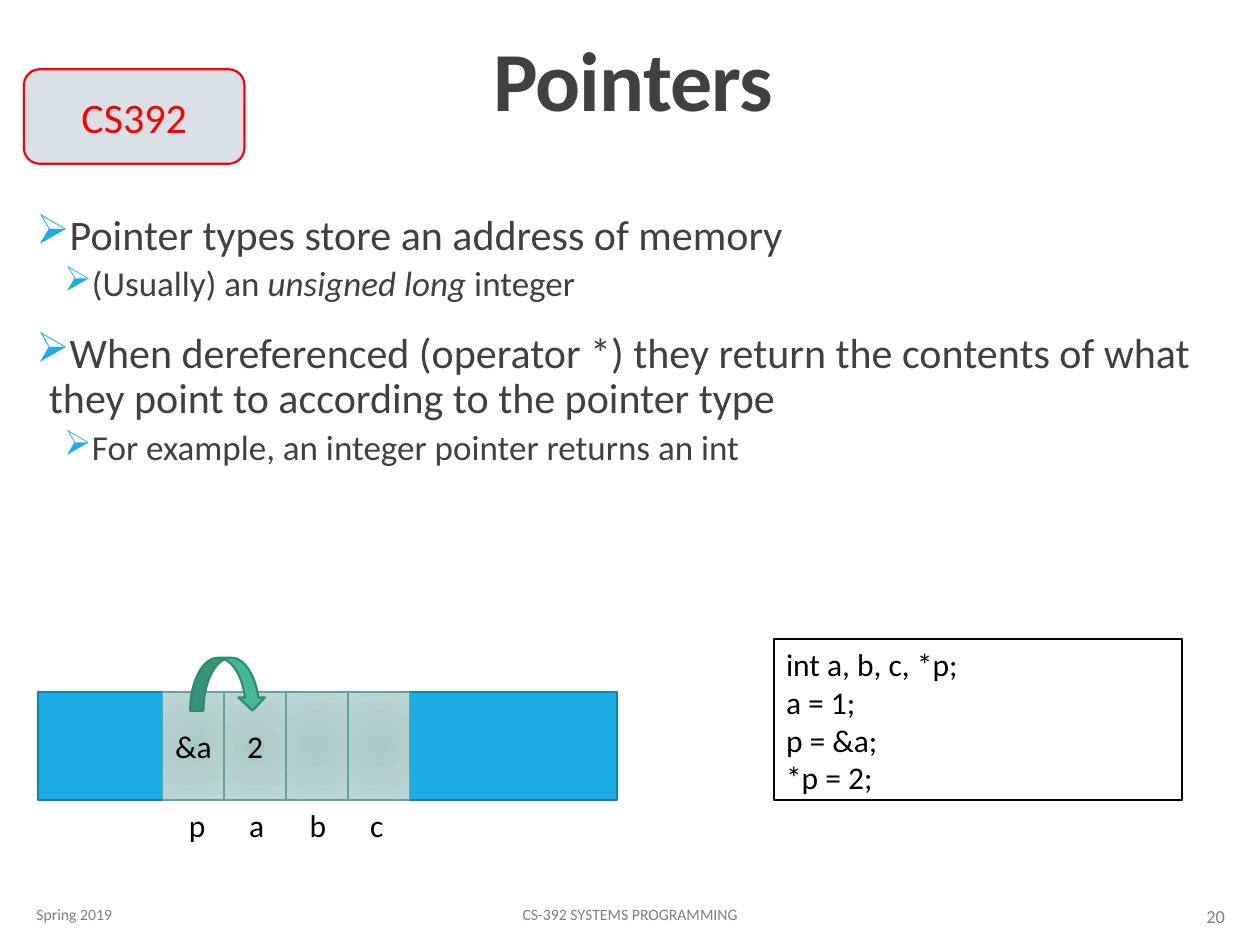
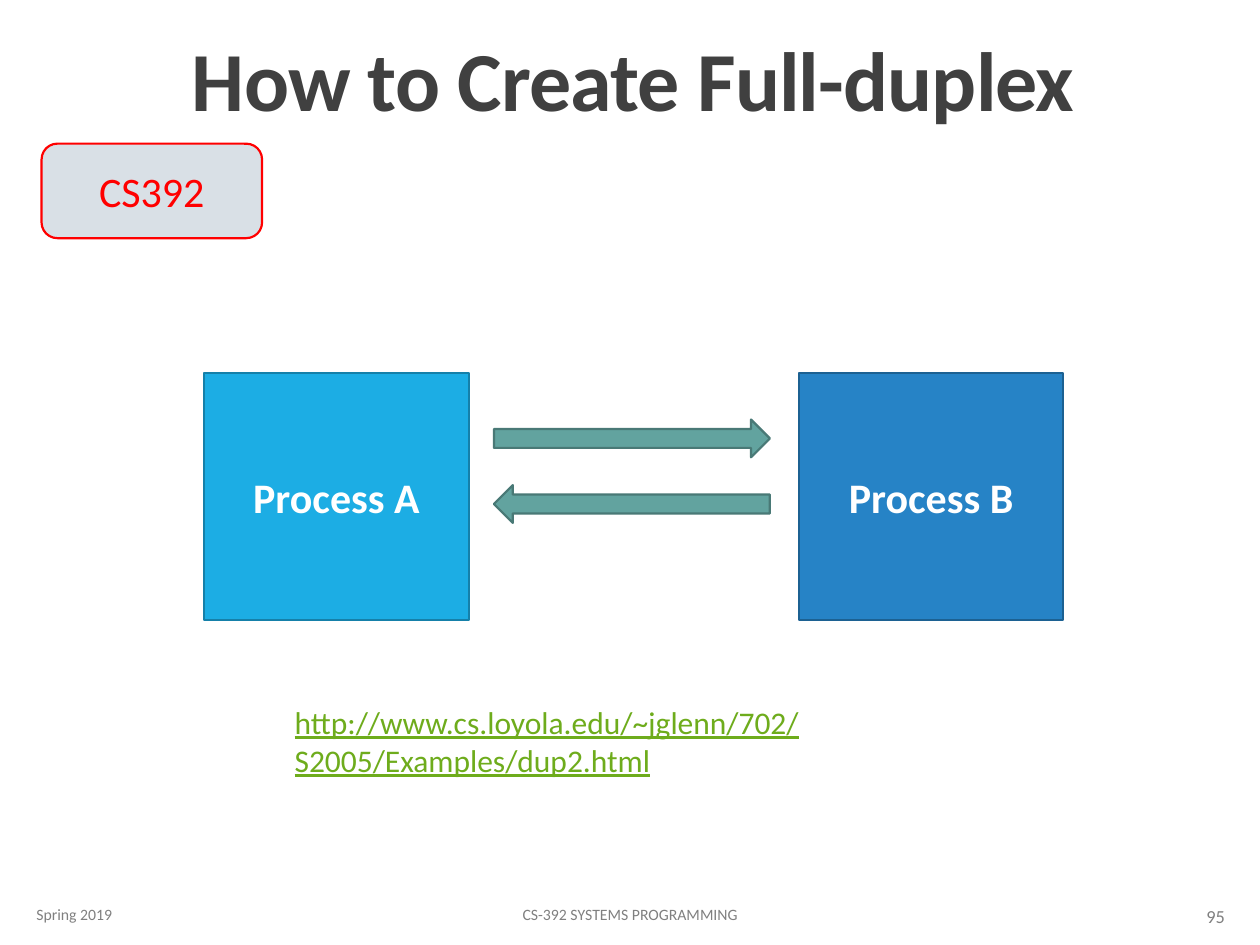
from dataclasses import dataclass
from lxml.etree import SubElement
from pptx import Presentation
from pptx.dml.color import RGBColor
from pptx.enum.shapes import MSO_SHAPE
from pptx.enum.text import MSO_ANCHOR, PP_ALIGN
from pptx.oxml import parse_xml
from pptx.oxml.ns import nsdecls, qn
from pptx.util import Inches, Pt


@dataclass(frozen=True)
class Theme:
    font: str = "Calibri"
    ink: str = "404040"
    muted: str = "808080"
    black: str = "000000"
    white: str = "FFFFFF"
    red: str = "FF0000"
    badge: str = "D9E0E6"
    sky: str = "1CADE4"
    sky_edge: str = "1580A9"
    blue: str = "2683C6"
    blue_edge: str = "1C6192"
    teal: str = "62A39F"
    teal_edge: str = "497976"
    green: str = "42BA97"
    green_edge: str = "318A70"
    link: str = "6EAC1C"
    cell_stops: tuple = ((0, "A5C6C4"), (45, "B4D0CE"), (100, "BAD7D5"))
    title_size: float = 48
    large: float = 24
    medium: float = 20
    regular: float = 18
    number_size: float = 10.5
    footer_size: float = 9
    edge: float = 1.25
    cell_edge: float = 1


THEME = Theme()
LEFT, CENTER, RIGHT = PP_ALIGN.LEFT, PP_ALIGN.CENTER, PP_ALIGN.RIGHT
TOP, MIDDLE, BOTTOM = MSO_ANCHOR.TOP, MSO_ANCHOR.MIDDLE, MSO_ANCHOR.BOTTOM

TERM = "Spring 2019"
COURSE = "CS-392 SYSTEMS PROGRAMMING"
BADGE = "CS392"

# (level, [(text, italic), ...])
POINTER_NOTES = [
    (0, [("Pointer types store an address of memory", False)]),
    (1, [("(Usually) an ", False), ("unsigned long", True), (" integer", False)]),
    (0, [("When dereferenced (operator *) they return the contents of what "
          "they point to according to the pointer type", False)]),
    (1, [("For example, an integer pointer returns an int", False)]),
]
# size, left margin, first-line indent, space before, space after
NOTE_LEVELS = [(THEME.large, 0.1, -0.1, 12, 2), (THEME.medium, 0.42, -0.2, 2, 4)]
MEMORY_CELLS = [("p", "&a"), ("a", "2"), ("b", ""), ("c", "")]
CODE = ["int a, b, c, *p;", "a = 1;", "p = &a;", "*p = 2;"]

PROCESSES = [("Process A", THEME.sky, THEME.sky_edge),
             ("Process B", THEME.blue, THEME.blue_edge)]
ARROW_ROTATIONS = [0, 180]
EXAMPLE_URL = "http://www.cs.loyola.edu/~jglenn/702/S2005/Examples/dup2.html"


def rgb(color):
    return RGBColor.from_string(color)


def style(span, size, color, bold=False, italic=False):
    span.font.name = THEME.font
    span.font.size = Pt(size)
    span.font.color.rgb = rgb(color)
    span.font.bold = bold
    span.font.italic = italic


def write(holder, lines, size, color, align=LEFT, anchor=TOP, bold=False):
    frame = holder.text_frame
    frame.text = "\n".join(lines)
    frame.vertical_anchor = anchor
    for para in frame.paragraphs:
        para.alignment = align
        for span in para.runs:
            style(span, size, color, bold)


def add_text(page, at, text, size, color, align=LEFT, anchor=TOP, bold=False, wrap=True):
    box = page.shapes.add_textbox(*map(Inches, at))
    box.text_frame.word_wrap = wrap
    write(box, [text], size, color, align, anchor, bold)
    return box


def add_figure(page, kind, at, fill, edge, width=THEME.edge):
    figure = page.shapes.add_shape(kind, *map(Inches, at))
    figure.shadow.inherit = False
    figure.fill.solid()
    figure.fill.fore_color.rgb = rgb(fill)
    figure.line.color.rgb = rgb(edge)
    figure.line.width = Pt(width)
    return figure


def fill_radially(figure, stops):
    marks = "".join(f'<a:gs pos="{percent * 1000}"><a:srgbClr val="{color}"/></a:gs>'
                    for percent, color in stops)
    gradient = parse_xml(
        f'<a:gradFill {nsdecls("a")} rotWithShape="1"><a:gsLst>{marks}</a:gsLst>'
        '<a:path path="circle"><a:fillToRect l="100000" t="100000" r="100000" b="100000"/>'
        '</a:path></a:gradFill>')
    properties = figure._element.spPr
    properties.replace(properties.find(qn("a:solidFill")), gradient)


def add_bullet(para, level, margin, indent):
    properties = para._p.get_or_add_pPr()
    properties.set("marL", str(Inches(margin)))
    properties.set("indent", str(Inches(indent)))
    para.level = level
    color = SubElement(properties, qn("a:buClr"))
    SubElement(color, qn("a:srgbClr")).set("val", THEME.sky)
    SubElement(properties, qn("a:buChar")).set("char", "➢")


def add_notes_list(page, at, notes):
    box = page.shapes.add_textbox(*map(Inches, at))
    frame = box.text_frame
    frame.word_wrap = True
    for index, (level, pieces) in enumerate(notes):
        para = frame.add_paragraph() if index else frame.paragraphs[0]
        size, margin, indent, before, after = NOTE_LEVELS[level]
        add_bullet(para, level, margin, indent)
        para.line_spacing = 0.9
        para.space_before = Pt(before if index else 0)
        para.space_after = Pt(after)
        for text, italic in pieces:
            span = para.add_run()
            span.text = text
            style(span, size, THEME.ink, italic=italic)


def start_page(deck, title, number):
    """Add a page with the title and footers that all pages share."""
    page = deck.slides.add_slide(deck.slide_layouts[6])
    heading = add_text(page, (0.9, 0.04, 8.25, 1.03), title, THEME.title_size,
                       THEME.ink, CENTER, BOTTOM, bold=True)
    para = heading.text_frame.paragraphs[0]
    para.line_spacing = 0.85
    para.runs[0]._r.get_or_add_rPr().set("spc", "-50")
    for at, text, size, align in [
        ((0.19, 7.06, 2.03, 0.4), TERM, THEME.footer_size, LEFT),
        ((3.02, 7.06, 3.96, 0.4), COURSE, THEME.footer_size, CENTER),
        ((8.74, 7.07, 1.08, 0.4), str(number), THEME.number_size, RIGHT),
    ]:
        add_text(page, at, text, size, THEME.muted, align, MIDDLE)
    return page


def add_badge(page, left, top):
    badge = add_figure(page, MSO_SHAPE.ROUNDED_RECTANGLE, (left, top, 1.75, 0.75),
                       THEME.badge, THEME.red)
    write(badge, [BADGE], THEME.large, THEME.red, CENTER, MIDDLE)


def add_memory(page):
    top, height, cell_width = 5.49, 0.86, 0.49
    first_cell, first_label, label_step = 1.29, 1.4, 0.48
    add_figure(page, MSO_SHAPE.RECTANGLE, (0.3, top, 4.6, height),
               THEME.sky, THEME.sky_edge)
    for index, (name, value) in enumerate(MEMORY_CELLS):
        cell = add_figure(page, MSO_SHAPE.RECTANGLE,
                          (first_cell + index * cell_width, top, cell_width, height),
                          THEME.teal, THEME.teal, THEME.cell_edge)
        fill_radially(cell, THEME.cell_stops)
        if value:
            write(cell, [value], THEME.regular, THEME.black, CENTER, MIDDLE)
        add_text(page, (first_label + index * label_step, top + height, 0.34, 0.4),
                 name, THEME.regular, THEME.black, wrap=False)
    add_figure(page, MSO_SHAPE.CURVED_DOWN_ARROW, (1.51, 5.22, 0.6, 0.42),
               THEME.green, THEME.green_edge)


def build_pointers(deck):
    page = start_page(deck, "Pointers", 20)
    add_memory(page)
    add_notes_list(page, (0.19, 1.65, 9.62, 3.46), POINTER_NOTES)
    listing = add_figure(page, MSO_SHAPE.RECTANGLE, (6.14, 5.07, 3.24, 1.28),
                         THEME.white, THEME.black)
    write(listing, CODE, THEME.regular, THEME.black)
    add_badge(page, 0.19, 0.55)


def build_full_duplex(deck):
    page = start_page(deck, "How to Create Full-duplex", 95)
    for index, (name, fill, edge) in enumerate(PROCESSES):
        process = add_figure(page, MSO_SHAPE.RECTANGLE,
                             (1.62 + index * 4.72, 2.96, 2.1, 1.96), fill, edge)
        write(process, [name], THEME.large, THEME.white, CENTER, MIDDLE, bold=True)
    for index, rotation in enumerate(ARROW_ROTATIONS):
        arrow = add_figure(page, MSO_SHAPE.RIGHT_ARROW,
                           (3.92, 3.33 + index * 0.52, 2.19, 0.3),
                           THEME.teal, THEME.teal_edge)
        arrow.rotation = rotation
    address = add_text(page, (2.24, 5.53, 5, 0.71), EXAMPLE_URL, THEME.regular, THEME.link)
    address.text_frame.paragraphs[0].runs[0].font.underline = True
    add_badge(page, 0.33, 1.14)


def main():
    deck = Presentation()
    deck.slide_width, deck.slide_height = Inches(10), Inches(7.5)
    build_pointers(deck)
    build_full_duplex(deck)
    deck.save("out.pptx")


if __name__ == "__main__":
    main()
